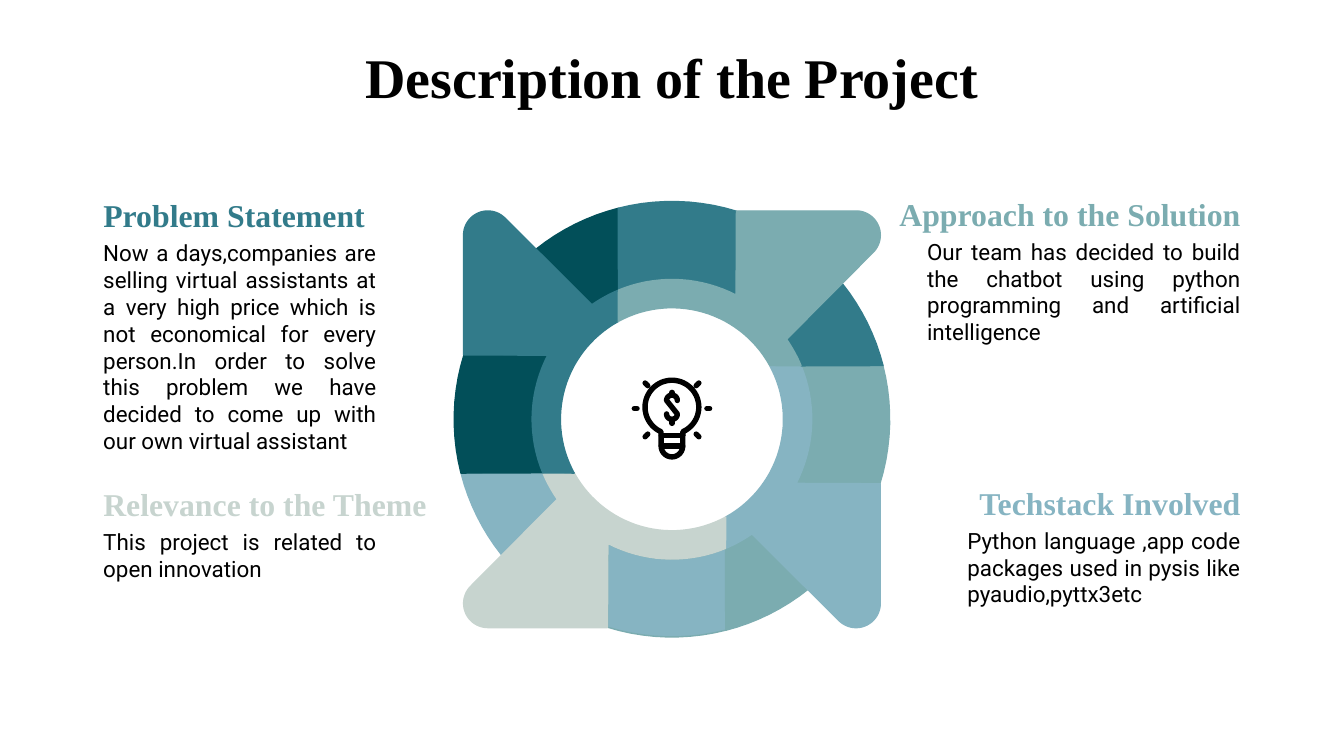
"""Build a slide with four arrow segments turning around a light bulb."""
from dataclasses import dataclass
from math import cos, radians, sin

from lxml import etree
from pptx import Presentation
from pptx.dml.color import RGBColor
from pptx.enum.shapes import MSO_CONNECTOR
from pptx.enum.text import MSO_ANCHOR, PP_ALIGN
from pptx.oxml.ns import qn
from pptx.util import Inches, Pt

Point = tuple[float, float]

LEFT, RIGHT = PP_ALIGN.LEFT, PP_ALIGN.RIGHT
CENTER, JUSTIFY = PP_ALIGN.CENTER, PP_ALIGN.JUSTIFY
TOP = MSO_ANCHOR.TOP
STRAIGHT = MSO_CONNECTOR.STRAIGHT
SERIF, SANS = "Times New Roman", "Roboto"
BLACK, WHITE = "000000", "FFFFFF"
DARK, TEAL, SAGE, SKY, PALE = "024F59", "327B8A", "7BACB0", "86B4C2", "C7D4CF"
SLIDE_WIDTH = 10
SLIDE_HEIGHT = SLIDE_WIDTH * 9 / 16
OUTER, MIDDLE, INNER, CORNER = 1.62, 1.04, 0.83, 0.18
RING_CENTER = (5, 3.12)
BULB_CENTER = (5, 3.03)
STROKE = 2.9


@dataclass
class Topic:
    """A heading, its body and the ring segment that belongs to them."""
    heading: str
    body: str
    top: float
    heading_left: float
    heading_width: float
    body_left: float
    body_width: float
    align: PP_ALIGN
    turns: int
    arrow: str
    wedge: str
    band_line: str


TOPICS = [
    Topic("Techstack Involved",
          "Python language ,app code packages used in pysis like pyaudio,pyttx3etc",
          3.5, 6.62, 2.71, 7.1, 2.23, RIGHT, 2, SKY, SAGE, SAGE),
    Topic("Relevance to the Theme", "This project is related to open innovation",
          3.51, 0.67, 3.69, 0.67, 2.23, LEFT, 3, PALE, SKY, SAGE),
    Topic("Problem Statement",
          "Now a days,companies are selling virtual assistants at a very high price "
          "which is not economical for every person.In order to solve this problem "
          "we have decided to come up with our own virtual assistant",
          1.36, 0.67, 2.48, 0.67, 2.23, LEFT, 0, TEAL, DARK, DARK),
    Topic("Approach to the Solution",
          "Our team has decided to build the chatbot using python programming "
          "and artificial intelligence",
          1.35, 6.37, 2.96, 6.8, 2.53, RIGHT, 1, SAGE, TEAL, TEAL),
]


def color(value: str) -> RGBColor:
    """Turn a hex string into a colour."""
    return RGBColor.from_string(value)


def arc(radius: float, start: float, end: float, center: Point = (0, 0)) -> list[Point]:
    """Return points along an arc, with degrees running clockwise from the right."""
    steps = max(8, round(abs(end - start) / 3))
    angles = [radians(start + (end - start) * step / steps) for step in range(steps + 1)]
    return [(center[0] + radius * cos(angle), center[1] + radius * sin(angle))
            for angle in angles]


WEDGE = arc(OUTER, 255.7, 231.5) + arc(MIDDLE, 235.1, 247.5)
BAND = arc(OUTER, 197.2, 165.7) + arc(MIDDLE, 157.5, 207.3)
ARROW = (arc(CORNER, 315, 180, (-1.37, -1.37)) + [(-1.55, -0.48)]
         + arc(MIDDLE, 207.3, 157.5) + arc(INNER, 151.2, 241.2)
         + arc(MIDDLE, 247.5, 235.1))


def write(box, text: str, font_name: str, size: float, ink: str, bold: bool,
          align: PP_ALIGN) -> None:
    """Put one formatted paragraph into a box."""
    frame = box.text_frame
    margins = {f"margin_{side}": Inches(0.1) for side in ("left", "top", "right", "bottom")}
    for name, value in {"word_wrap": True, "vertical_anchor": TOP, **margins}.items():
        setattr(frame, name, value)
    paragraph = frame.paragraphs[0]
    paragraph.alignment = align
    span = paragraph.add_run()
    span.text = text
    for name, value in {"name": font_name, "size": Pt(size), "bold": bold}.items():
        setattr(span.font, name, value)
    span.font.color.rgb = color(ink)


def add_text(page, left: float, top: float, width: float, height: float, *style) -> None:
    """Add a text box and write into it."""
    box = page.shapes.add_textbox(Inches(left), Inches(top), Inches(width), Inches(height))
    write(box, *style)


def add_outline(page, points: list[Point], fill: str | None, line: str,
                weight: float = 0.75, close: bool = True):
    """Add a freeform through the points."""
    corners = [(Inches(x), Inches(y)) for x, y in points]
    builder = page.shapes.build_freeform(*corners[0])
    builder.add_line_segments(corners[1:], close=close)
    shape = builder.convert_to_shape()
    shape.shadow.inherit = False
    if fill:
        shape.fill.solid()
        shape.fill.fore_color.rgb = color(fill)
    else:
        shape.fill.background()
    shape.line.color.rgb = color(line)
    shape.line.width = Pt(weight)
    return shape


def add_segment(page, points: list[Point], turns: int, fill: str, line: str) -> None:
    """Add a ring part after quarter turns about the ring centre."""
    for _ in range(turns):
        points = [(-y, x) for x, y in points]
    placed = [(RING_CENTER[0] + x, RING_CENTER[1] + y) for x, y in points]
    add_outline(page, placed, fill, line)


def round_ends(shape) -> None:
    """Give a line round caps."""
    shape.get_or_add_ln().set("cap", "rnd")


def add_stroke(page, start: Point, end: Point) -> None:
    """Add a straight black line with round ends."""
    line = page.shapes.add_connector(STRAIGHT, *(Inches(value) for value in start + end))
    line.line.color.rgb = color(BLACK)
    line.line.width = Pt(STROKE)
    round_ends(line)
    etree.SubElement(line._element.spPr, qn("a:effectLst"))


def add_bulb(page) -> None:
    """Draw the light bulb with its dollar sign and rays."""
    glass = arc(0.2, 114, 426, BULB_CENTER) + arc(0.08, 0, 180, (5, 3.32))
    add_outline(page, glass, WHITE, BLACK, STROKE)
    for y in (3.24, 3.32):
        add_stroke(page, (4.92, y), (5.08, y))
    dollar = arc(0.04, 0, -180, (5, 2.98)) + arc(0.04, 0, 180, (5, 3.08))
    round_ends(add_outline(page, dollar, None, BLACK, STROKE, close=False))
    for top, bottom in ((2.92, 2.94), (3.12, 3.15)):
        add_stroke(page, (5, top), (5, bottom))
    for side in (-1, 1):
        for far, near in (((0.28, 3.04), (0.26, 3.04)),
                          ((0.2, 2.85), (0.18, 2.87)),
                          ((0.2, 3.25), (0.18, 3.23))):
            add_stroke(page, (5 + side * far[0], far[1]), (5 + side * near[0], near[1]))


def add_topic(page, topic: Topic) -> None:
    """Add the texts and ring parts of one topic."""
    add_text(page, topic.heading_left, topic.top, topic.heading_width, 0.32,
             topic.heading, SERIF, 17, topic.arrow, True, topic.align)
    add_text(page, topic.body_left, topic.top + 0.32, topic.body_width, 0.76,
             topic.body, SANS, 12, BLACK, False, JUSTIFY)
    add_segment(page, WEDGE, topic.turns, topic.wedge, topic.wedge)
    add_segment(page, BAND, topic.turns, topic.wedge, topic.band_line)
    add_segment(page, ARROW, topic.turns, topic.arrow, topic.arrow)


def main() -> None:
    """Build and save the deck."""
    deck = Presentation()
    deck.slide_width, deck.slide_height = Inches(SLIDE_WIDTH), Inches(SLIDE_HEIGHT)
    page = deck.slides.add_slide(deck.slide_layouts[5])
    title = page.shapes.title
    place = {"left": 2.53, "top": 0.22, "width": 4.94, "height": 0.68}
    for name, value in place.items():
        setattr(title, name, Inches(value))
    write(title, "Description of the Project", SERIF, 30, BLACK, True, CENTER)
    for topic in TOPICS:
        add_topic(page, topic)
    add_bulb(page)
    deck.save("out.pptx")


if __name__ == "__main__":
    main()
